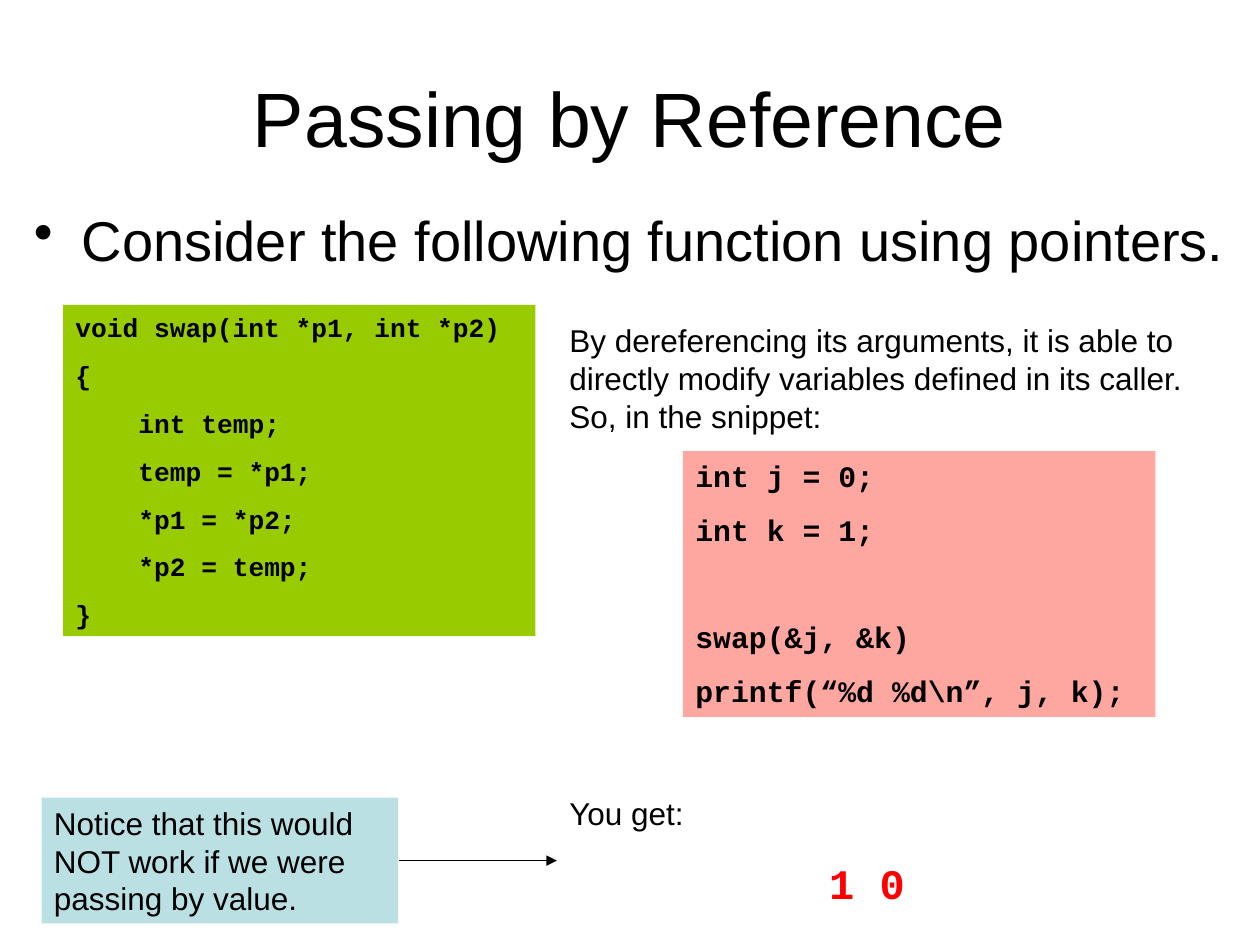
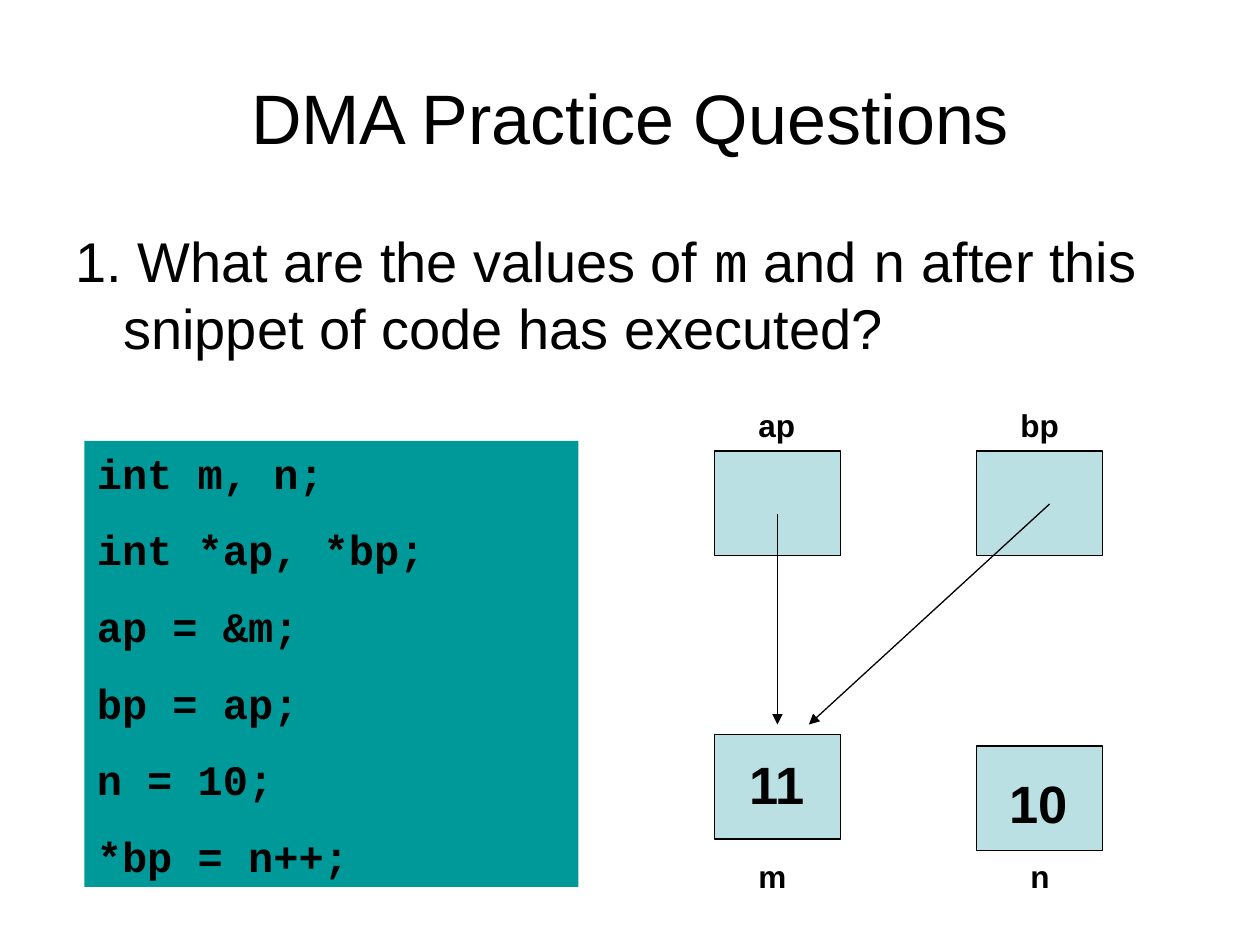
from dataclasses import dataclass

from lxml.etree import SubElement
from pptx import Presentation
from pptx.dml.color import RGBColor
from pptx.enum.shapes import MSO_CONNECTOR, MSO_SHAPE
from pptx.enum.text import MSO_ANCHOR, PP_ALIGN
from pptx.oxml.ns import qn
from pptx.util import Inches, Pt

SANS, MONO = "Arial", "Courier New"
BLACK, RED = "000000", "FF0000"
GREEN, PINK, TEAL, PALE_BLUE = "99CC00", "FEA7A0", "009999", "BBE0E3"
SPACING_RATIO = 0.625  # space before a paragraph, as a share of its font size
HANGING_INDENT = 0.38
CELL_WIDTH, CELL_HEIGHT = 1, 0.83


@dataclass(frozen=True)
class Area:
    left: float
    top: float
    width: float
    height: float

    def lengths(self):
        return [Inches(v) for v in (self.left, self.top, self.width, self.height)]


@dataclass(frozen=True)
class Style:
    size: float
    font: str = SANS
    bold: bool = False
    color: str = BLACK
    align: PP_ALIGN = PP_ALIGN.LEFT


@dataclass(frozen=True)
class CodeLine:
    text: str
    depth: int = 0
    gap_lines: int = 0


@dataclass(frozen=True)
class MemoryCell:
    name: str
    left: float
    top: float
    label: Area
    value: str = ""
    value_area: Area | None = None


NOTE = Style(18)
LABEL = Style(18, bold=True)
VALUE = Style(30, bold=True, align=PP_ALIGN.CENTER)
RESULT = Style(24, MONO, True, RED, PP_ALIGN.CENTER)
BODY = Style(32)


def rgb(color: str) -> RGBColor:
    return RGBColor.from_string(color)


def style_paragraph(para, style: Style, space_before: float | None = None) -> None:
    para.alignment = style.align
    para.space_before = Pt(style.size * SPACING_RATIO if space_before is None
                           else space_before)
    para.font.name = style.font
    para.font.size = Pt(style.size)
    para.font.bold = style.bold
    para.font.color.rgb = rgb(style.color)


def add_panel(slide, area: Area, fill: str, outlined: bool = False):
    panel = slide.shapes.add_shape(MSO_SHAPE.RECTANGLE, *area.lengths())
    panel.shadow.inherit = False
    panel.fill.solid()
    panel.fill.fore_color.rgb = rgb(fill)
    if outlined:
        panel.line.color.rgb = rgb(BLACK)
        panel.line.width = Pt(0.75)
    else:
        panel.line.fill.background()
    panel.text_frame.word_wrap = True
    panel.text_frame.vertical_anchor = MSO_ANCHOR.TOP
    return panel


def add_text_box(slide, area: Area):
    box = slide.shapes.add_textbox(*area.lengths())
    box.text_frame.word_wrap = True
    return box


def write(box, text: str, style: Style, space_before: float | None = None):
    para = box.text_frame.paragraphs[0]
    para.text = text
    style_paragraph(para, style, space_before)
    return para


def add_title(slide, text: str, size: float) -> None:
    box = add_text_box(slide, Area(0.5, 0.3, 9, 1.25))
    box.text_frame.vertical_anchor = MSO_ANCHOR.MIDDLE
    write(box, text, Style(size, align=PP_ALIGN.CENTER), 0)


def hang(para, bullet: str = "") -> None:
    properties = para._p.get_or_add_pPr()
    properties.set("marL", str(Inches(HANGING_INDENT)))
    properties.set("indent", str(-Inches(HANGING_INDENT)))
    if bullet:
        mark = SubElement(properties, qn("a:buChar"))
        mark.set("char", bullet)


def add_code(slide, area: Area, fill: str, size: float, lines: list[CodeLine]) -> None:
    frame = add_panel(slide, area, fill).text_frame
    style = Style(size, MONO, True)
    space = size * SPACING_RATIO
    for index, line in enumerate(lines):
        para = frame.paragraphs[0] if index == 0 else frame.add_paragraph()
        para.text = line.text
        style_paragraph(para, style, space + line.gap_lines * (space + size * 1.15))
        if line.depth:
            # One level equals four monospaced characters
            para._p.get_or_add_pPr().set("marL", str(Pt(line.depth * 4 * size * 0.6)))


def add_arrow(slide, start: tuple[float, float], end: tuple[float, float]) -> None:
    points = [Inches(v) for v in (*start, *end)]
    arrow = slide.shapes.add_connector(MSO_CONNECTOR.STRAIGHT, *points)
    arrow.line.color.rgb = rgb(BLACK)
    arrow.line.width = Pt(0.75)
    SubElement(arrow.line._get_or_add_ln(), qn("a:tailEnd")).set("type", "triangle")
    SubElement(arrow._element.spPr, qn("a:effectLst"))


def build_reference_slide(slide) -> None:
    add_title(slide, "Passing by Reference", 44)
    body = add_text_box(slide, Area(0.17, 1.58, 10, 4.95))
    hang(write(body, "Consider the following function using pointers.", BODY, 8), "•")

    # Swap function and its explanation
    add_code(slide, Area(0.5, 2.42, 3.75, 2.63), GREEN, 15, [
        CodeLine("void swap(int *p1, int *p2)"),
        CodeLine("{"),
        CodeLine("int temp;", 1),
        CodeLine("temp = *p1;", 1),
        CodeLine("*p1 = *p2;", 1),
        CodeLine("*p2 = temp;", 1),
        CodeLine("}"),
    ])
    write(add_text_box(slide, Area(4.42, 2.5, 5.25, 1)),
          "By dereferencing its arguments, it is able to directly modify variables "
          "defined in its caller. So, in the snippet:", NOTE)

    # Calling snippet and its output
    add_code(slide, Area(5.42, 3.58, 3.75, 2.11), PINK, 17, [
        CodeLine("int j = 0;"),
        CodeLine("int k = 1;"),
        CodeLine("swap(&j, &k)", gap_lines=1),
        CodeLine("printf(“%d %d\\n”, j, k);"),
    ])
    output = add_text_box(slide, Area(4.42, 6.25, 4.92, 1.01))
    write(output, "You get:", NOTE)
    result = output.text_frame.add_paragraph()
    result.text = "1 0"
    style_paragraph(result, RESULT)

    # Remark about passing by value
    add_arrow(slide, (3.17, 6.83), (4.42, 6.83))
    write(add_panel(slide, Area(0.33, 6.33, 2.83, 1), PALE_BLUE),
          "Notice that this would NOT work if we were passing by value.", NOTE)


def build_practice_slide(slide) -> None:
    add_title(slide, "DMA Practice Questions", 40)
    question = add_text_box(slide, Area(0.5, 1.75, 9, 4.95))
    para = write(question, "", BODY, 8)
    hang(para)
    for text, font in [("1. What are the values of ", SANS), ("m", MONO),
                       (" and ", SANS), ("n", MONO),
                       (" after this snippet of code has executed?", SANS)]:
        span = para.add_run()
        span.text = text
        span.font.name = font

    add_code(slide, Area(0.67, 3.5, 3.92, 3.54), TEAL, 24, [
        CodeLine(text) for text in ("int m, n;", "int *ap, *bp;", "ap = &m;",
                                    "bp = ap;", "n = 10;", "*bp = n++;")
    ])

    # Memory diagram: pointers above, integers below
    cells = [
        MemoryCell("m", 5.67, 5.83, Area(5.92, 6.75, 0.42, 0.4),
                   "11", Area(5.75, 5.92, 0.83, 0.6)),
        MemoryCell("n", 7.75, 5.92, Area(8.08, 6.75, 0.42, 0.4),
                   "10", Area(7.83, 6.07, 0.83, 0.6)),
        MemoryCell("bp", 7.75, 3.58, Area(8, 3.17, 0.58, 0.4)),
        MemoryCell("ap", 5.67, 3.58, Area(5.92, 3.17, 0.58, 0.4)),
    ]
    for cell in cells:
        add_panel(slide, Area(cell.left, cell.top, CELL_WIDTH, CELL_HEIGHT),
                  PALE_BLUE, outlined=True)
        write(add_text_box(slide, cell.label), cell.name, LABEL)
        if cell.value_area:
            write(add_panel(slide, cell.value_area, PALE_BLUE), cell.value, VALUE)
    add_arrow(slide, (6.17, 4.08), (6.17, 5.75))
    add_arrow(slide, (8.33, 4), (6.42, 5.75))


def main() -> None:
    deck = Presentation()
    deck.slide_width, deck.slide_height = Inches(10), Inches(7.5)
    blank = deck.slide_layouts[6]
    for build in (build_reference_slide, build_practice_slide):
        build(deck.slides.add_slide(blank))
    deck.save("out.pptx")


if __name__ == "__main__":
    main()
